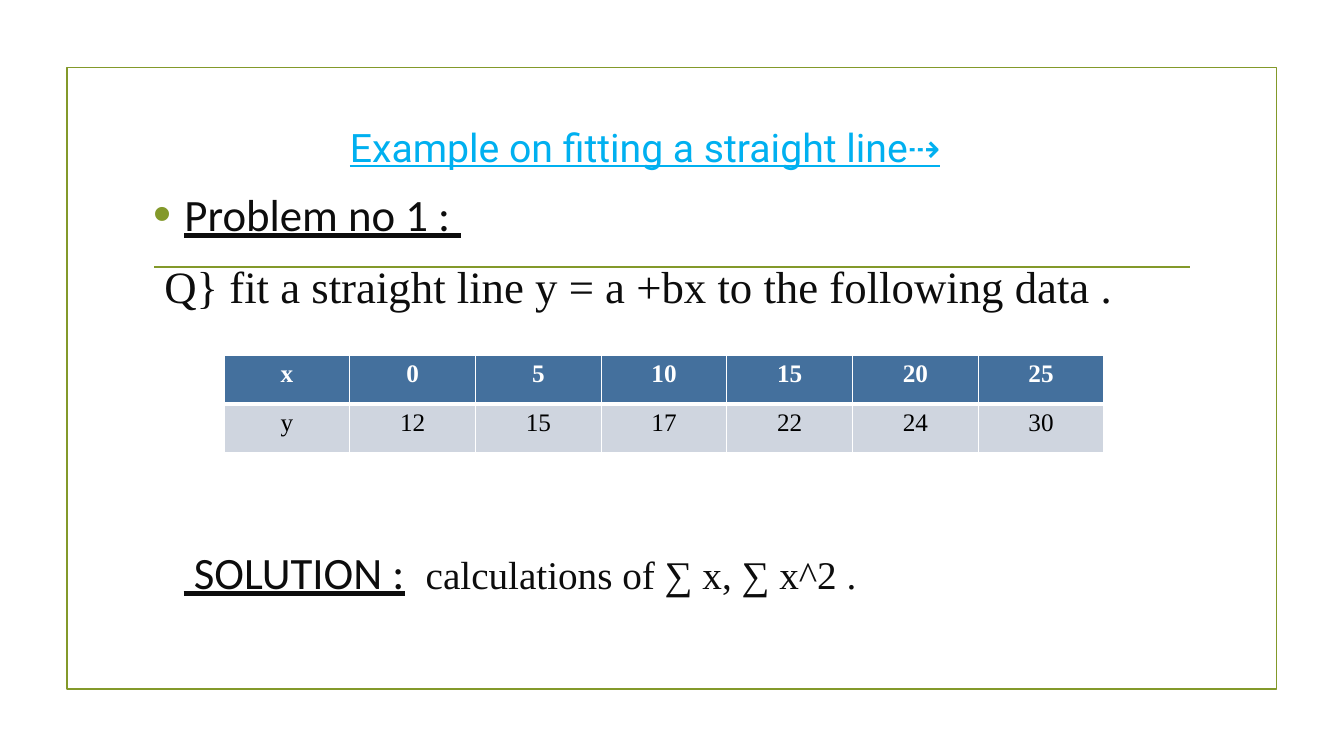
from dataclasses import dataclass

from lxml import etree
from pptx import Presentation
from pptx.dml.color import RGBColor
from pptx.enum.shapes import MSO_CONNECTOR, MSO_SHAPE
from pptx.enum.text import MSO_ANCHOR, PP_ALIGN
from pptx.oxml.ns import qn
from pptx.util import Cm, Pt

RECTANGLE = MSO_SHAPE.RECTANGLE
STRAIGHT = MSO_CONNECTOR.STRAIGHT
MIDDLE, TOP = MSO_ANCHOR.MIDDLE, MSO_ANCHOR.TOP
CENTER, LEFT = PP_ALIGN.CENTER, PP_ALIGN.LEFT


@dataclass(frozen=True)
class Theme:
    green: str = "83992A"
    sky: str = "00B0F0"
    ink: str = "0D0D0D"
    black: str = "000000"
    white: str = "FFFFFF"
    header: str = "44709D"
    band: str = "CFD5DF"
    sans: str = "Calibri"
    serif: str = "Times New Roman"
    display: str = "Roboto"
    large: int = 32
    medium: int = 28
    small: int = 18
    rule: float = 1.25


class SlideBuilder:
    """Draws styled elements on the current slide."""

    def __init__(self, slide, theme):
        self.slide = slide
        self.theme = theme

    def frame(self, left, top, width, height):
        border = self.slide.shapes.add_shape(
            RECTANGLE, Cm(left), Cm(top), Cm(width), Cm(height))
        border.shadow.inherit = False
        border.fill.background()
        self.stroke(border.line)

    def divider(self, left, right, y):
        divider = self.slide.shapes.add_connector(
            STRAIGHT, Cm(left), Cm(y), Cm(right), Cm(y))
        self.stroke(divider.line)
        etree.SubElement(divider._element.spPr, qn("a:effectLst"))

    def stroke(self, line):
        line.color.rgb = RGBColor.from_string(self.theme.green)
        line.width = Pt(self.theme.rule)

    def text_frame(self, left, top, width, height, anchor=TOP):
        frame = self.slide.shapes.add_textbox(
            Cm(left), Cm(top), Cm(width), Cm(height)).text_frame
        frame.word_wrap = True
        frame.vertical_anchor = anchor
        return frame

    def run(self, paragraph, text, face, size, color, underline=False, bold=False):
        run = paragraph.add_run()
        run.text = text
        font = run.font
        font.name, font.size = face, Pt(size)
        font.underline, font.bold = underline, bold
        font.color.rgb = RGBColor.from_string(color)

    def bullet(self, paragraph, indent):
        props = paragraph._p.get_or_add_pPr()
        props.set("marL", str(Cm(indent)))
        props.set("indent", str(-Cm(indent)))
        color = etree.SubElement(props, qn("a:buClr"))
        etree.SubElement(color, qn("a:srgbClr"), val=self.theme.green)
        etree.SubElement(props, qn("a:buSzPct"), val="115000")
        etree.SubElement(props, qn("a:buFont"), typeface="Arial")
        etree.SubElement(props, qn("a:buChar"), char="•")

    def tab_stop(self, paragraph, position):
        stops = etree.SubElement(paragraph._p.get_or_add_pPr(), qn("a:tabLst"))
        etree.SubElement(stops, qn("a:tab"), pos=str(Cm(position)), algn="l")

    def borders(self, cell, top, bottom):
        sides = (("a:lnL", 1), ("a:lnR", 1), ("a:lnT", top), ("a:lnB", bottom))
        for place, (side, width) in enumerate(sides):
            edge = etree.Element(qn(side), w=str(Pt(width)))
            fill = etree.SubElement(edge, qn("a:solidFill"))
            etree.SubElement(fill, qn("a:srgbClr"), val=self.theme.white)
            cell._tc.get_or_add_tcPr().insert(place, edge)

    def data_table(self, rows, left, top, width, height):
        theme = self.theme
        looks = ((theme.header, theme.white, True, 1, 3),
                 (theme.band, theme.black, False, 3, 1))
        table = self.slide.shapes.add_table(
            len(rows), len(rows[0]), Cm(left), Cm(top), Cm(width), Cm(height)).table
        for r, (values, look) in enumerate(zip(rows, looks)):
            fill, color, bold, above, below = look
            for c, value in enumerate(values):
                cell = table.cell(r, c)
                cell.fill.solid()
                cell.fill.fore_color.rgb = RGBColor.from_string(fill)
                self.borders(cell, above, below)
                paragraph = cell.text_frame.paragraphs[0]
                paragraph.alignment = CENTER
                self.run(paragraph, str(value), theme.serif, theme.small, color, bold=bold)


def main():
    theme = Theme()
    deck = Presentation()
    deck.slide_width, deck.slide_height = Cm(33.87), Cm(19.05)
    builder = SlideBuilder(deck.slides.add_slide(deck.slide_layouts[6]), theme)

    builder.frame(1.69, 1.7, 30.48, 15.67)
    builder.divider(3.89, 30, 6.73)

    title = builder.text_frame(2.24, 2.79, 28.04, 1.8, MIDDLE).paragraphs[0]
    title.alignment = CENTER
    builder.run(title, "Example on fitting a straight line⇢",
                theme.display, theme.medium, theme.sky, underline=True)

    problem = builder.text_frame(3.61, 4.57, 26.67, 3.6)
    heading = problem.paragraphs[0]
    builder.bullet(heading, 0.79)
    heading.alignment = LEFT
    heading.space_after = Pt(6)
    builder.run(heading, "Problem no 1 : ", theme.sans, theme.large, theme.ink, underline=True)
    question = problem.add_paragraph()
    question.space_before = Pt(7)
    builder.run(question, " Q} fit a straight line y = a +bx to the following data .",
                theme.serif, theme.large, theme.ink)

    builder.data_table((("x", 0, 5, 10, 15, 20, 25), ("y", 12, 15, 17, 22, 24, 30)),
                       5.65, 8.95, 22.17, 2.46)

    solution = builder.text_frame(4.38, 13.59, 25.9, 1.8).paragraphs[0]
    builder.tab_stop(solution, 6.1)
    builder.run(solution, " SOLUTION :", theme.sans, theme.large, theme.ink, underline=True)
    builder.run(solution, "\tcalculations of ∑ x, ∑ x^2 .",
                theme.serif, theme.medium, theme.ink)

    deck.save("out.pptx")


if __name__ == "__main__":
    main()
